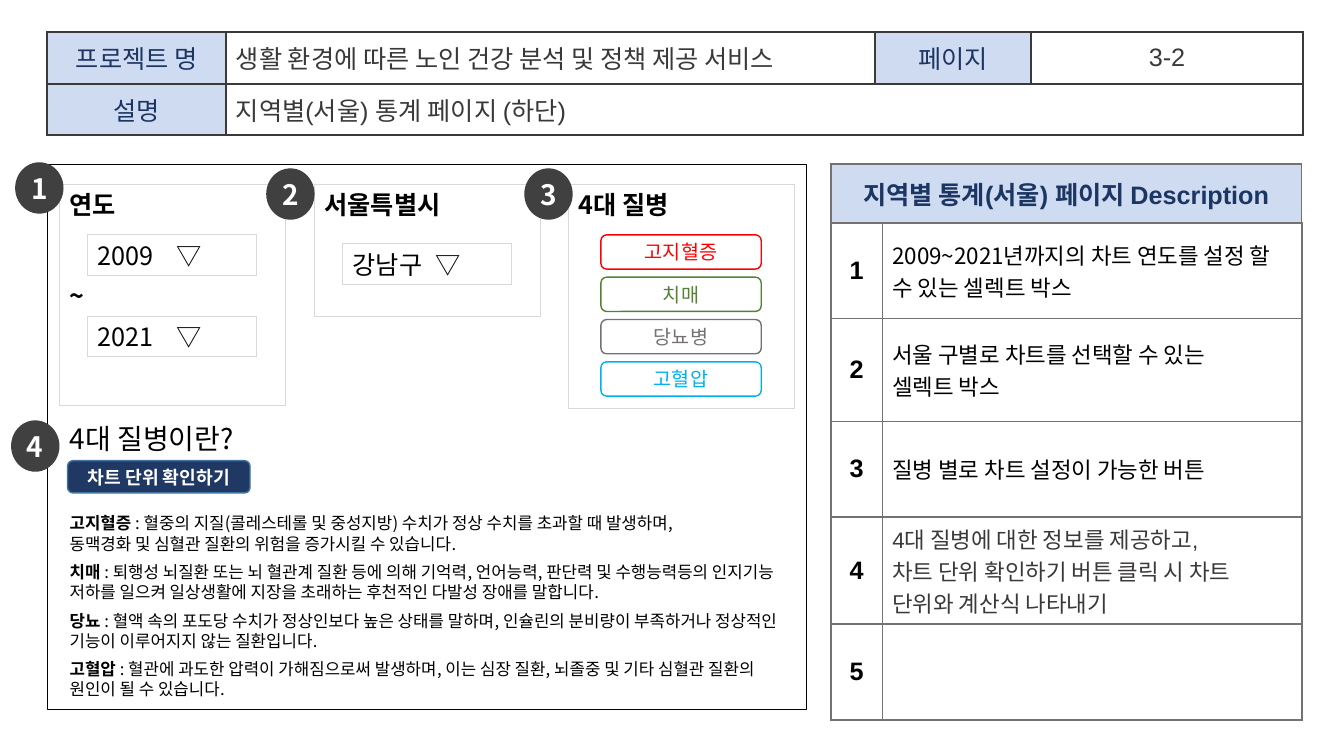
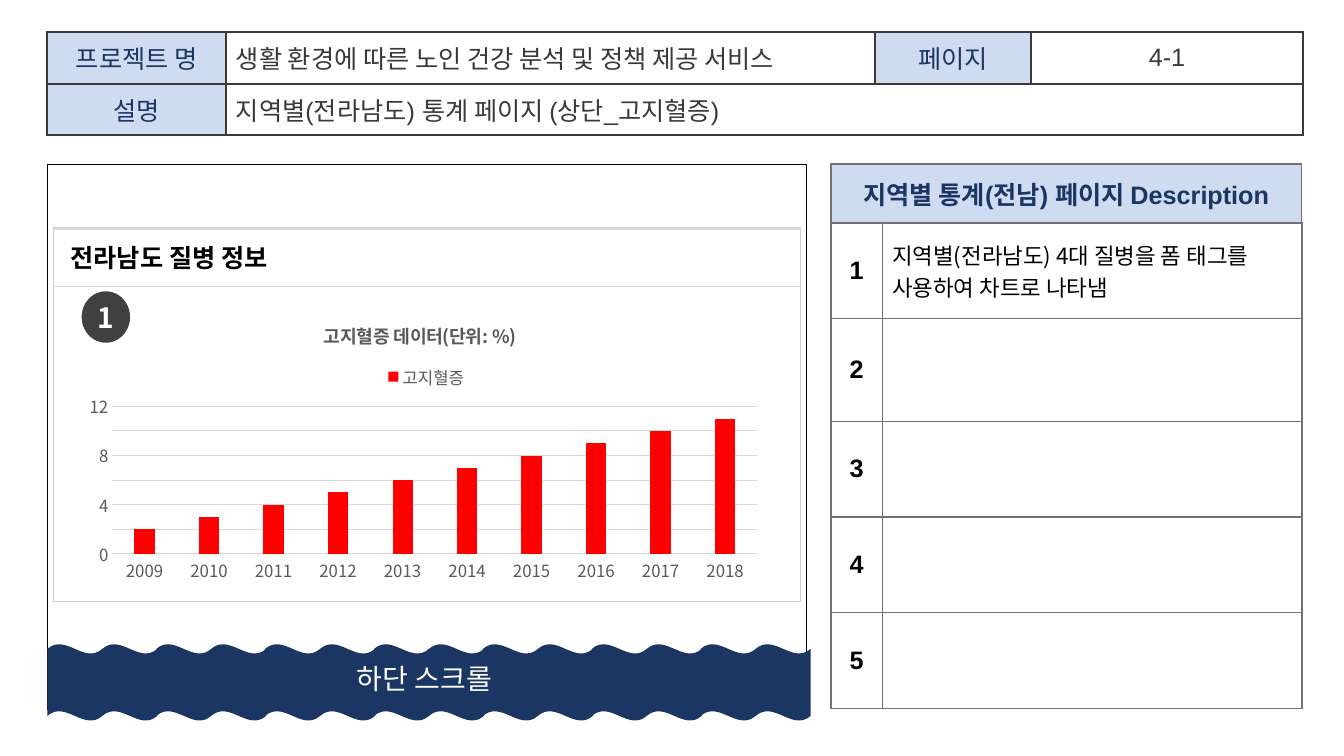
from lxml.etree import SubElement
from pptx import Presentation
from pptx.chart.data import CategoryChartData
from pptx.dml.color import RGBColor
from pptx.enum.chart import XL_CHART_TYPE as Chart, XL_LEGEND_POSITION as LegendPos
from pptx.enum.chart import XL_TICK_MARK as Tick
from pptx.enum.shapes import MSO_SHAPE as Shape
from pptx.enum.text import MSO_ANCHOR as Anchor, MSO_AUTO_SIZE as AutoSize, PP_ALIGN as Align
from pptx.oxml.ns import qn
from pptx.util import Inches, Pt

NAVY, PALE, INK, GREY = "1C3664", "CFDBF0", "3B3838", "767171"
BLACK, WHITE, RULE, CHART_TEXT = "000000", "FFFFFF", "D9D9D9", "595959"
NOTO, ARIAL = "Noto Sans CJK KR", "Arial"
PROJECT = "생활 환경에 따른 노인 건강 분석 및 정책 제공 서비스"
HEADER = (0.47, 0.32, 12.45, 1.02)
SCREEN = (0.47, 1.63, 7.53, 5.41)
NOTES = (8.24, 1.63, 4.67, 5.41)


def rgb(value):
    return RGBColor.from_string(value)


def inches(box):
    return [Inches(round(value, 2)) for value in box]


def style(para, size, color=BLACK, name=NOTO, bold=False, align=Align.LEFT):
    para.alignment = align
    font = para.font
    font.size, font.bold, font.name = Pt(size), bold, name
    font.color.rgb = rgb(color)
    SubElement(font._rPr, qn("a:ea"), typeface=NOTO)


def set_frame(frame, anchor=Anchor.MIDDLE, side=0.1, edge=0.05, wrap=True):
    frame.word_wrap, frame.auto_size = wrap, AutoSize.NONE
    frame.vertical_anchor = anchor
    frame.margin_left = frame.margin_right = Inches(side)
    frame.margin_top = frame.margin_bottom = Inches(edge)


def paint(shape, fill=None, line=None, width=0.75):
    if fill:
        shape.fill.solid()
        shape.fill.fore_color.rgb = rgb(fill)
    else:
        shape.fill.background()
    if line:
        shape.line.color.rgb = rgb(line)
        shape.line.width = Pt(width)
    else:
        shape.line.fill.background()


def add_box(page, kind, box, fill=None, line=None, width=0.75):
    shape = page.shapes.add_shape(kind, *inches(box))
    shape.shadow.inherit = False
    paint(shape, fill, line, width)
    return shape


def label(shape, text, size, color, bold=False, side=0.05):
    """Write one centred line in a shape."""
    set_frame(shape.text_frame, side=side, edge=0)
    para = shape.text_frame.paragraphs[0]
    para.text = text
    style(para, size, color, bold=bold, align=Align.CENTER)


def badge(page, left, top, number):
    circle = add_box(page, Shape.OVAL, (left, top, 0.48, 0.51), fill="404040")
    label(circle, str(number), 20, WHITE, bold=True, side=0)


def place(placeholder, box):
    placeholder.left, placeholder.top, placeholder.width, placeholder.height = inches(box)


def heading(page, box, text, size, bold=False, side=0.1):
    title = page.shapes.title
    place(title, box)
    set_frame(title.text_frame, side=side)
    para = title.text_frame.paragraphs[0]
    para.text = text
    style(para, size, bold=bold)
    return title


# Tables

def add_grid(page, box, columns, rows):
    table = page.shapes.add_table(len(rows), len(columns), *inches(box)).table
    table.first_row = table.horz_banding = False
    for column, width in zip(table.columns, columns):
        column.width = Inches(width)
    for row, height in zip(table.rows, rows):
        row.height = Inches(height)
    return table


def border(cell, color, **widths):
    """Draw the sides L, R, T and B, each with its width in points."""
    props = cell._tc.get_or_add_tcPr()
    for side, width in widths.items():
        line = SubElement(props, qn("a:ln" + side), w=str(Pt(width)))
        SubElement(SubElement(line, qn("a:solidFill")), qn("a:srgbClr"), val=color)


def fill_cell(cell, text, fill, size, color, **looks):
    cell.fill.solid()
    cell.fill.fore_color.rgb = rgb(fill)
    cell.vertical_anchor = Anchor.MIDDLE
    cell.text = text
    for para in cell.text_frame.paragraphs:
        style(para, size, color, **looks)


def header_table(page, box, page_number, summary):
    table = add_grid(page, box, (1.77, 6.44, 1.55, 2.69), (0.51, 0.51))
    for cell in table.iter_cells():
        border(cell, "3B3939", L=1.5, R=1.5, T=1.5, B=1.5)
    table.cell(1, 1).merge(table.cell(1, 3))
    for row, column, text in ((0, 0, "프로젝트 명"), (0, 2, "페이지"), (1, 0, "설명")):
        fill_cell(table.cell(row, column), text, PALE, 18, NAVY, name=ARIAL, align=Align.CENTER)
    for row, column, text, align in ((0, 1, PROJECT, Align.LEFT),
                                     (0, 3, page_number, Align.CENTER),
                                     (1, 1, summary, Align.LEFT)):
        fill_cell(table.cell(row, column), text, WHITE, 18, INK, name=ARIAL, align=align)


def notes_table(page, box, region, notes):
    """Number five notes; each is a pair of text and looks, and missing ones stay empty."""
    rows = (0.58, 0.95, 1.02, 0.95, 0.95, 0.95)
    table = add_grid(page, box, (0.51, 4.16), rows)
    last = len(rows) - 1
    for index in range(len(rows)):
        top, bottom = (1.5 if index <= 1 else 1), (1.5 if index in (0, last) else 1)
        border(table.cell(index, 0), GREY, L=1.5, R=1, T=top, B=bottom)
        border(table.cell(index, 1), GREY, L=1, R=1.5, T=top, B=bottom)
    table.cell(0, 0).merge(table.cell(0, 1))
    fill_cell(table.cell(0, 0), f"지역별 통계({region}) 페이지 Description", PALE, 18, NAVY,
              name=ARIAL, bold=True, align=Align.CENTER)
    for index in range(1, len(rows)):
        fill_cell(table.cell(index, 0), str(index), WHITE, 18, BLACK,
                  name=ARIAL, bold=True, align=Align.CENTER)
        text, looks = notes[index - 1] if index <= len(notes) else ("", {})
        fill_cell(table.cell(index, 1), text, WHITE, 16, **{"color": BLACK, **looks})


def add_page(deck, layout, page_number, summary, region, notes):
    page = deck.slides.add_slide(deck.slide_layouts[layout])
    add_box(page, Shape.RECTANGLE, SCREEN, line=BLACK)
    notes_table(page, NOTES, region, notes)
    header_table(page, HEADER, page_number, summary)
    return page


# Parts of the filter screen

def card(page, box, *lines):
    shape = add_box(page, Shape.RECTANGLE, box, line=RULE)
    set_frame(shape.text_frame, Anchor.TOP)
    shape.text_frame.text = "\n".join(lines)
    for index, para in enumerate(shape.text_frame.paragraphs):
        style(para, 18, bold=True)
        para.line_spacing = Pt(21.6)
        para.space_before = Pt(43 if index else 0)


def select(page, left, top, value, arrow_at):
    shape = add_box(page, Shape.RECTANGLE, (left, top, 1.67, 0.4), line=RULE)
    set_frame(shape.text_frame, edge=0)
    para = shape.text_frame.paragraphs[0]
    para.text = f"{value}\t▽"
    tabs = SubElement(para._p.get_or_add_pPr(), qn("a:tabLst"))
    SubElement(tabs, qn("a:tab"), pos=str(Inches(arrow_at)), algn="l")
    style(para, 18)


def filter_cards(page, left, top):
    width, step = 2.24, 2.53
    second, third = left + step, left + 2 * step - 0.01
    card(page, (left, top, width, 2.19), "연도", "~")
    card(page, (second, top, width, 1.31), "서울특별시")
    card(page, (third, top, width, 2.22), "4대 질병")
    select(page, left + 0.28, top + 0.5, "2009", 0.78)
    select(page, left + 0.28, top + 1.31, "2021", 0.78)
    select(page, second + 0.28, top + 0.59, "강남구", 0.82)
    diseases = (("고지혈증", "FF0000"), ("치매", "548235"), ("당뇨병", GREY), ("고혈압", "00B0F0"))
    for index, (name, color) in enumerate(diseases):
        button = add_box(page, Shape.ROUNDED_RECTANGLE,
                         (third + 0.32, top + 0.5 + 0.42 * index, 1.59, 0.34), line=color, width=1)
        label(button, name, 14, color)


def disease_info(page, left, top, entries):
    heading(page, (left, top, 7.29, 0.44), "4대 질병이란?", 20)
    button = add_box(page, Shape.ROUNDED_RECTANGLE, (left + 0.08, top + 0.44, 1.81, 0.32),
                     fill="203864", line="43739E", width=1)
    label(button, "차트 단위 확인하기", 13, WHITE, bold=True)
    body = page.placeholders[1]
    place(body, (left, top + 0.91, 7.29, 1.97))
    frame = body.text_frame
    set_frame(frame, Anchor.TOP)
    for index, (name, text) in enumerate(entries):
        para = frame.add_paragraph() if index else frame.paragraphs[0]
        props = para._p.get_or_add_pPr()
        props.set("marL", "0")
        props.set("indent", "0")
        SubElement(props, qn("a:buNone"))
        style(para, 12)
        para.line_spacing = Pt(14.4)
        para.space_before = Pt(5.9 if index else 0)
        lead = para.add_run()
        lead.text = name + " "
        lead.font.bold = True
        for line_index, line in enumerate((": " + text).split("\n")):
            if line_index:
                para.add_line_break()
            para.add_run().text = line


# Parts of the chart screen

def set_layout(element, index, **values):
    """Give a chart part a manual layout in fractions of the chart."""
    for old in element.findall(qn("c:layout")):
        element.remove(old)
    layout = element.makeelement(qn("c:layout"))
    element.insert(index, layout)
    manual = SubElement(layout, qn("c:manualLayout"))
    if "w" in values:
        SubElement(manual, qn("c:layoutTarget"), val="inner")
    for key in ("x", "y"):
        SubElement(manual, qn(f"c:{key}Mode"), val="edge")
    for key, value in values.items():
        SubElement(manual, qn(f"c:{key}"), val=str(value))


def disease_chart(page, box):
    data = CategoryChartData()
    data.categories = [str(year) for year in range(2009, 2019)]
    data.add_series("고지혈증", range(2, 12))
    chart = page.shapes.add_chart(Chart.COLUMN_CLUSTERED, *inches(box), data).chart
    chart.font.size, chart.font.name = Pt(12), NOTO
    chart.font.color.rgb = rgb(CHART_TEXT)

    chart.has_title = True
    para = chart.chart_title.text_frame.paragraphs[0]
    para.text = "고지혈증 데이터(단위: %)"
    style(para, 13, CHART_TEXT, bold=True, align=Align.CENTER)
    chart.has_legend = True
    chart.legend.position, chart.legend.include_in_layout = LegendPos.TOP, False
    set_layout(chart.chart_title._element, 1, x=0.35, y=0.06)
    set_layout(chart.legend._element, 1, x=0.44, y=0.21)
    set_layout(chart._chartSpace.chart.plotArea, 0, x=0.05, y=0.37, w=0.93, h=0.51)

    plot = chart.plots[0]
    plot.gap_width, plot.overlap, plot.vary_by_categories = 219, -27, False
    bars = plot.series[0].format.fill
    bars.solid()
    bars.fore_color.rgb = rgb("FF0000")
    years, values = chart.category_axis, chart.value_axis
    values.minimum_scale, values.maximum_scale, values.major_unit = 0, 12, 2
    years.major_tick_mark = values.major_tick_mark = Tick.NONE
    values.format.line.fill.background()
    for line in (years.format.line, values.major_gridlines.format.line):
        line.color.rgb = rgb(RULE)
        line.width = Pt(0.75)


def chart_card(page, left, top):
    add_box(page, Shape.RECTANGLE, (left, top, 7.41, 3.71), line="D0CECE", width=1)
    title = heading(page, (left, top + 0.01, 7.41, 0.57), "전라남도 질병 정보", 18, True, side=0.17)
    paint(title, line=RULE, width=1)
    disease_chart(page, (left + 0.24, top + 0.71, 6.88, 2.87))


def scroll_band(page, left, top):
    for index in range(7):
        add_box(page, Shape.DOUBLE_WAVE, (left + 1.08 * index, top, 1.09, 0.76), fill=NAVY)
    caption = page.shapes.add_textbox(*inches((left + 2.89, top + 0.12, 1.7, 0.44)))
    label(caption, "하단 스크롤", 20, WHITE)


def seoul_page(deck):
    notes = [("2009~2021년까지의 차트 연도를 설정 할 수 있는 셀렉트 박스", {}),
             ("서울 구별로 차트를 선택할 수 있는\n셀렉트 박스", {}),
             ("질병 별로 차트 설정이 가능한 버튼", {}),
             ("4대 질병에 대한 정보를 제공하고,\n차트 단위 확인하기 버튼 클릭 시 차트 단위와 계산식 나타내기",
              {"color": INK, "name": ARIAL})]
    page = add_page(deck, 1, "3-2", "지역별(서울) 통계 페이지 (하단)", "서울", notes)
    filter_cards(page, 0.59, 1.83)
    disease_info(page, 0.59, 4.13, (
        ("고지혈증", "혈중의 지질(콜레스테롤 및 중성지방) 수치가 정상 수치를 초과할 때 발생하며,\n"
                 "동맥경화 및 심혈관 질환의 위험을 증가시킬 수 있습니다."),
        ("치매", "퇴행성 뇌질환 또는 뇌 혈관계 질환 등에 의해 기억력, 언어능력, 판단력 및 수행능력등의 "
               "인지기능 저하를 일으켜 일상생활에 지장을 초래하는 후천적인 다발성 장애를 말합니다."),
        ("당뇨", "혈액 속의 포도당 수치가 정상인보다 높은 상태를 말하며, 인슐린의 분비량이 부족하거나 "
               "정상적인 기능이 이루어지지 않는 질환입니다."),
        ("고혈압", "혈관에 과도한 압력이 가해짐으로써 발생하며, 이는 심장 질환, 뇌졸중 및 기타 심혈관 "
                "질환의 원인이 될 수 있습니다.")))
    for number, spot in enumerate(((0.15, 1.61), (2.64, 1.67), (5.2, 1.67), (0.11, 4.17)), 1):
        badge(page, *spot, number)


def jeonnam_page(deck):
    notes = [("지역별(전라남도) 4대 질병을 폼 태그를 사용하여 차트로 나타냄", {})]
    page = add_page(deck, 5, "4-1", "지역별(전라남도) 통계 페이지 (상단_고지혈증)", "전남", notes)
    chart_card(page, 0.53, 2.26)
    badge(page, 0.81, 2.89, 1)
    scroll_band(page, 0.47, 6.39)


def main():
    deck = Presentation()
    deck.slide_width, deck.slide_height = Inches(13.33), Inches(7.5)
    seoul_page(deck)
    jeonnam_page(deck)
    deck.save("out.pptx")


if __name__ == "__main__":
    main()
